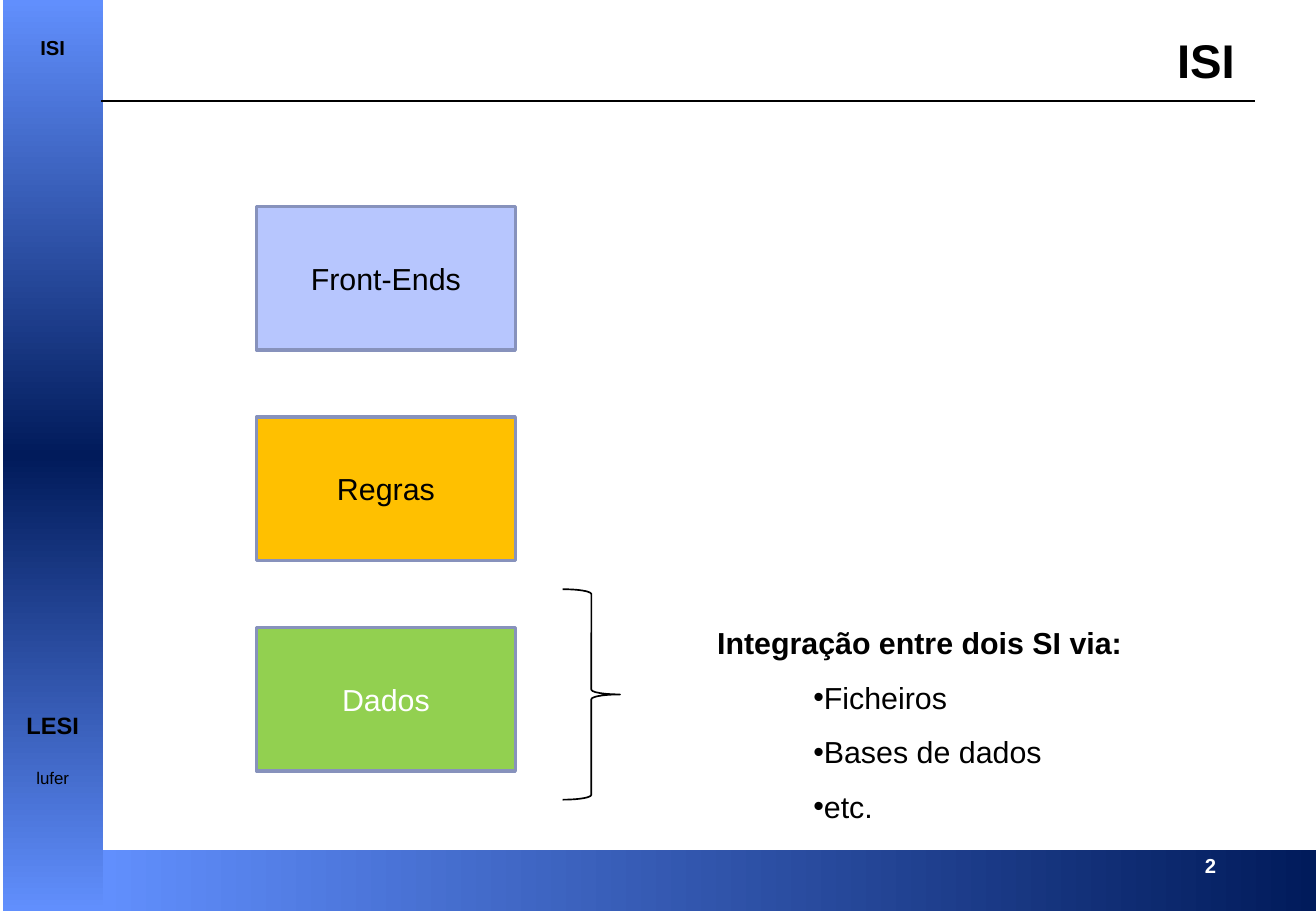
from copy import deepcopy

from pptx import Presentation
from pptx.dml.color import RGBColor
from pptx.enum.shapes import MSO_CONNECTOR, MSO_SHAPE
from pptx.enum.text import MSO_ANCHOR, PP_ALIGN
from pptx.oxml.ns import qn
from pptx.util import Pt
from lxml import etree

LEFT, CENTER = PP_ALIGN.LEFT, PP_ALIGN.CENTER
TOP, MIDDLE = MSO_ANCHOR.TOP, MSO_ANCHOR.MIDDLE
RECTANGLE, BRACE = MSO_SHAPE.RECTANGLE, MSO_SHAPE.RIGHT_BRACE
STRAIGHT = MSO_CONNECTOR.STRAIGHT

COLORS = {
    "black": "000000", "white": "FFFFFF", "blue": "618FFD", "navy": "011B5B",
    "lilac": "B7C6FE", "amber": "FFC000", "green": "92D050", "border": "8792BC",
}
TITLE = "ISI"
PAGE_NUMBER = "2"
LAYERS = [
    ("Front-Ends", "lilac", "black"),
    ("Regras", "amber", "black"),
    ("Dados", "green", "white"),
]
SIDEBAR_LABELS = [("ISI", 28, 12, True), ("LESI", 430, 14, True), ("lufer", 461, 10, False)]
HEADING = "Integração entre dois SI via:"
CHANNELS = ["Ficheiros", "Bases de dados", "etc."]

PAGE_WIDTH, PAGE_HEIGHT = 780, 540
SIDEBAR_LEFT, SIDEBAR_WIDTH = 1.5, 59.5
FOOTER_TOP = 504
LAYER_LEFT, LAYER_TOP, LAYER_WIDTH, LAYER_HEIGHT, LAYER_STEP = 152, 122.5, 153.5, 85, 124.75
LABEL_HEIGHT = 24


def color(name):
    return RGBColor.from_string(COLORS[name])


def write(frame, text, size=18, bold=False, ink="black", align=LEFT, anchor=TOP,
          wrap=False, new=False, bullet=False):
    frame.word_wrap = wrap
    frame.vertical_anchor = anchor
    para = frame.add_paragraph() if new else frame.paragraphs[0]
    para.alignment = align
    span = para.add_run()
    span.text = text
    span.font.name = "Arial"
    span.font.size = Pt(size)
    span.font.bold = bold
    span.font.color.rgb = color(ink)
    if bullet:
        para.level = 1
        para.line_spacing = 1.5
        properties = para._p.get_or_add_pPr()
        properties.set("marL", str(Pt(36)))
        properties.set("indent", str(Pt(21)))
        etree.SubElement(properties, qn("a:buFont")).set("typeface", "Arial")
        etree.SubElement(properties, qn("a:buChar")).set("char", "•")


def add_box(left, top, width, height):
    return page.shapes.add_textbox(Pt(left), Pt(top), Pt(width), Pt(height)).text_frame


def add_shape(kind, left, top, width, height, fill=None, line=None, weight=1):
    shape = page.shapes.add_shape(kind, Pt(left), Pt(top), Pt(width), Pt(height))
    shape.shadow.inherit = False
    if fill:
        shape.fill.solid()
        shape.fill.fore_color.rgb = color(fill)
    if line:
        shape.line.color.rgb = color(line)
        shape.line.width = Pt(weight)
    else:
        shape.line.fill.background()
    return shape


def add_gradient(shape, names, angle):
    shape.fill.gradient()
    shape.fill.gradient_angle = angle
    stop_list = shape._element.spPr.find(".//" + qn("a:gsLst"))
    while len(stop_list) < len(names):
        stop_list.append(deepcopy(stop_list[-1]))
    for index, (stop, name) in enumerate(zip(shape.fill.gradient_stops, names)):
        stop.position = index / (len(names) - 1)
        stop.color.rgb = color(name)


deck = Presentation()
deck.slide_width, deck.slide_height = Pt(PAGE_WIDTH), Pt(PAGE_HEIGHT)
page = deck.slides.add_slide(deck.slide_layouts[5])

title = page.shapes.title
title.left, title.top, title.width, title.height = Pt(690.5), Pt(15), Pt(49), Pt(41)
write(title.text_frame, TITLE, size=28, bold=True)

footer = add_shape(RECTANGLE, 60, FOOTER_TOP, PAGE_WIDTH - 60, PAGE_HEIGHT - FOOTER_TOP)
add_gradient(footer, ["blue", "navy"], 0)
write(add_box(707, 502.5, 34, 22), PAGE_NUMBER, size=12, bold=True, ink="white")

sidebar = add_shape(RECTANGLE, SIDEBAR_LEFT, 0, SIDEBAR_WIDTH, PAGE_HEIGHT)
add_gradient(sidebar, ["blue", "navy", "blue"], 270)
for text, middle, size, bold in SIDEBAR_LABELS:
    frame = add_box(SIDEBAR_LEFT, middle - LABEL_HEIGHT / 2, SIDEBAR_WIDTH, LABEL_HEIGHT)
    write(frame, text, size=size, bold=bold, align=CENTER, anchor=MIDDLE, wrap=True)

rule = page.shapes.add_connector(STRAIGHT, Pt(60), Pt(60), Pt(744), Pt(60))
rule.line.color.rgb = color("black")
rule.line.width = Pt(1)
etree.SubElement(rule._element.spPr, qn("a:effectLst"))

for index, (text, fill, ink) in enumerate(LAYERS):
    layer = add_shape(RECTANGLE, LAYER_LEFT, LAYER_TOP + index * LAYER_STEP,
                      LAYER_WIDTH, LAYER_HEIGHT, fill=fill, line="border", weight=2)
    write(layer.text_frame, text, ink=ink, align=CENTER, anchor=MIDDLE, wrap=True)

add_shape(BRACE, 333.5, 349.25, 34, 124.75, fill="white", line="black")

channels = add_box(418, 366.5, 257, 127.5)
write(channels, HEADING, bold=True)
for channel in CHANNELS:
    write(channels, channel, new=True, bullet=True)

deck.save("out.pptx")
